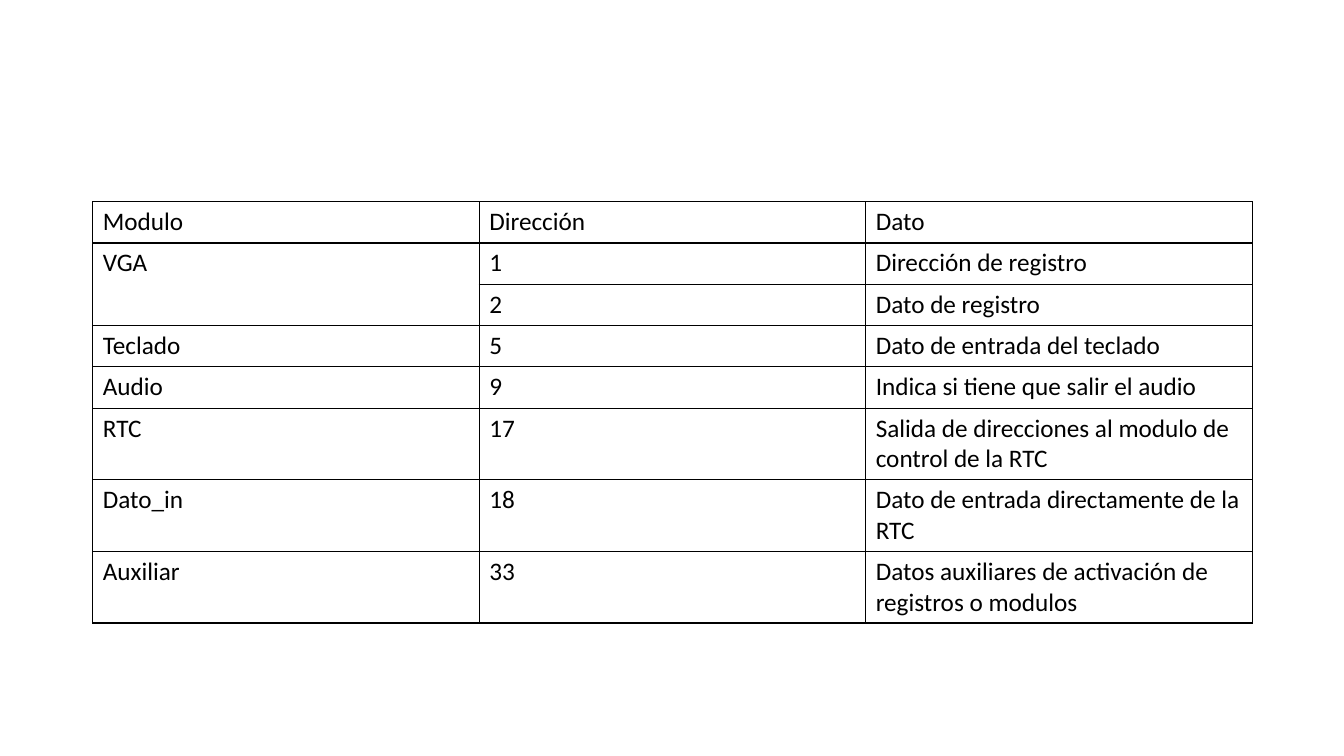
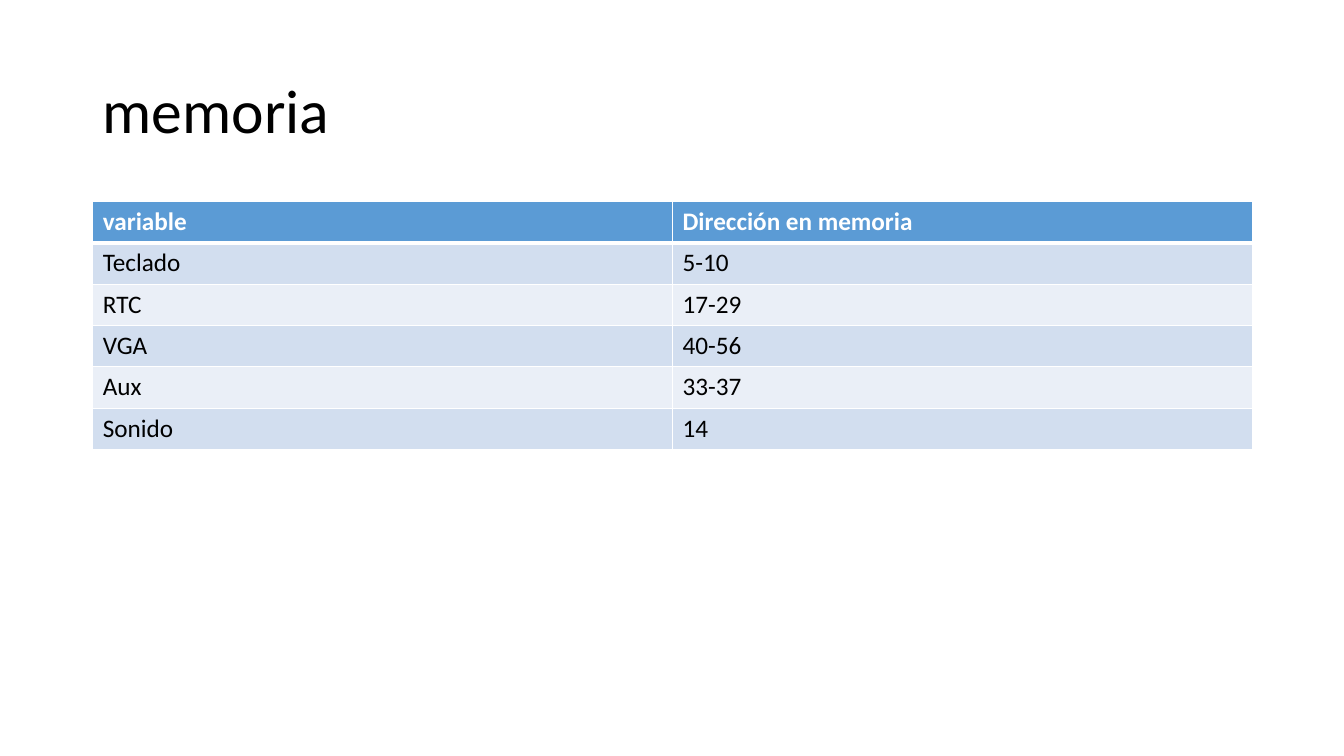
from lxml import etree
from pptx import Presentation
from pptx.dml.color import RGBColor
from pptx.enum.text import MSO_ANCHOR
from pptx.oxml.ns import qn
from pptx.util import Inches, Pt

MIDDLE = MSO_ANCHOR.MIDDLE
FONT = "Calibri"
COLORS = {"ink": "000000", "white": "FFFFFF", "head": "5B9BD5",
          "odd": "D2DEEF", "even": "EAEFF7"}
LEFT, TOP, WIDTH, ROW = 0.92, 2, 11.5, 0.41


def style(para, size, color, bold=False):
    """Set the font of a whole paragraph."""
    font = para.font
    font.name, font.size, font.bold = FONT, Pt(size), bold
    font.color.rgb = RGBColor.from_string(COLORS[color])


def add_grid(slide, rows, line, edges, banded):
    """Add a table; edges maps (row, side) to a width other than 1 pt."""
    frame = slide.shapes.add_table(
        len(rows), len(rows[0]), Inches(LEFT), Inches(TOP),
        Inches(WIDTH), Inches(ROW * len(rows)))
    table = frame.table
    table.first_row = table.horz_banding = banded
    for r, row in enumerate(rows):
        for c, text in enumerate(row):
            cell = table.cell(r, c)
            cell.text = text
            head = banded and r == 0
            style(cell.text_frame.paragraphs[0], 18,
                  "white" if head else "ink", head)
            props = cell._tc.get_or_add_tcPr()
            for side in "LRTB":
                width = edges.get((r, c, side), 1)
                edge = etree.SubElement(props, qn("a:ln" + side),
                                        w=str(Pt(width)))
                if width:
                    fill = etree.SubElement(edge, qn("a:solidFill"))
                    etree.SubElement(fill, qn("a:srgbClr"), val=COLORS[line])
                else:
                    etree.SubElement(edge, qn("a:noFill"))
            if banded:
                name = "head" if head else "odd" if r % 2 else "even"
                cell.fill.solid()
                cell.fill.fore_color.rgb = RGBColor.from_string(COLORS[name])
            else:
                cell.fill.background()


prs = Presentation()
prs.slide_width, prs.slide_height = Inches(13.33), Inches(7.5)
blank = prs.slide_layouts[6]

# Slide 1: module addresses
modules = [
    ("Modulo", "Dirección", "Dato"),
    ("VGA", "1", "Dirección de registro"),
    ("", "2", "Dato de registro"),
    ("Teclado", "5", "Dato de entrada del teclado"),
    ("Audio", "9", "Indica si tiene que salir el audio"),
    ("RTC", "17", "Salida de direcciones al modulo de control de la RTC"),
    ("Dato_in", "18", "Dato de entrada directamente de la RTC"),
    ("Auxiliar", "33",
     "Datos auxiliares de activación de registros o modulos"),
]
open_edge = {(1, 0, "B"): 0, (2, 0, "T"): 0}
add_grid(prs.slides.add_slide(blank), modules, "ink", open_edge, False)

# Slide 2: memory map
slide = prs.slides.add_slide(blank)
box = slide.shapes.add_textbox(Inches(LEFT), Inches(0.4),
                               Inches(WIDTH), Inches(1.45))
frame = box.text_frame
frame.word_wrap = True
frame.vertical_anchor = MIDDLE
title = frame.paragraphs[0]
title.text = "memoria"
title.line_spacing = 0.9
style(title, 44, "ink")

memory = [
    ("variable", "Dirección en memoria"),
    ("Teclado", "5-10"),
    ("RTC", "17-29"),
    ("VGA", "40-56"),
    ("Aux", "33-37"),
    ("Sonido", "14"),
]
thick = {(r, c, side): 3 for r, side in ((0, "B"), (1, "T")) for c in (0, 1)}
add_grid(slide, memory, "white", thick, True)

prs.save("out.pptx")
